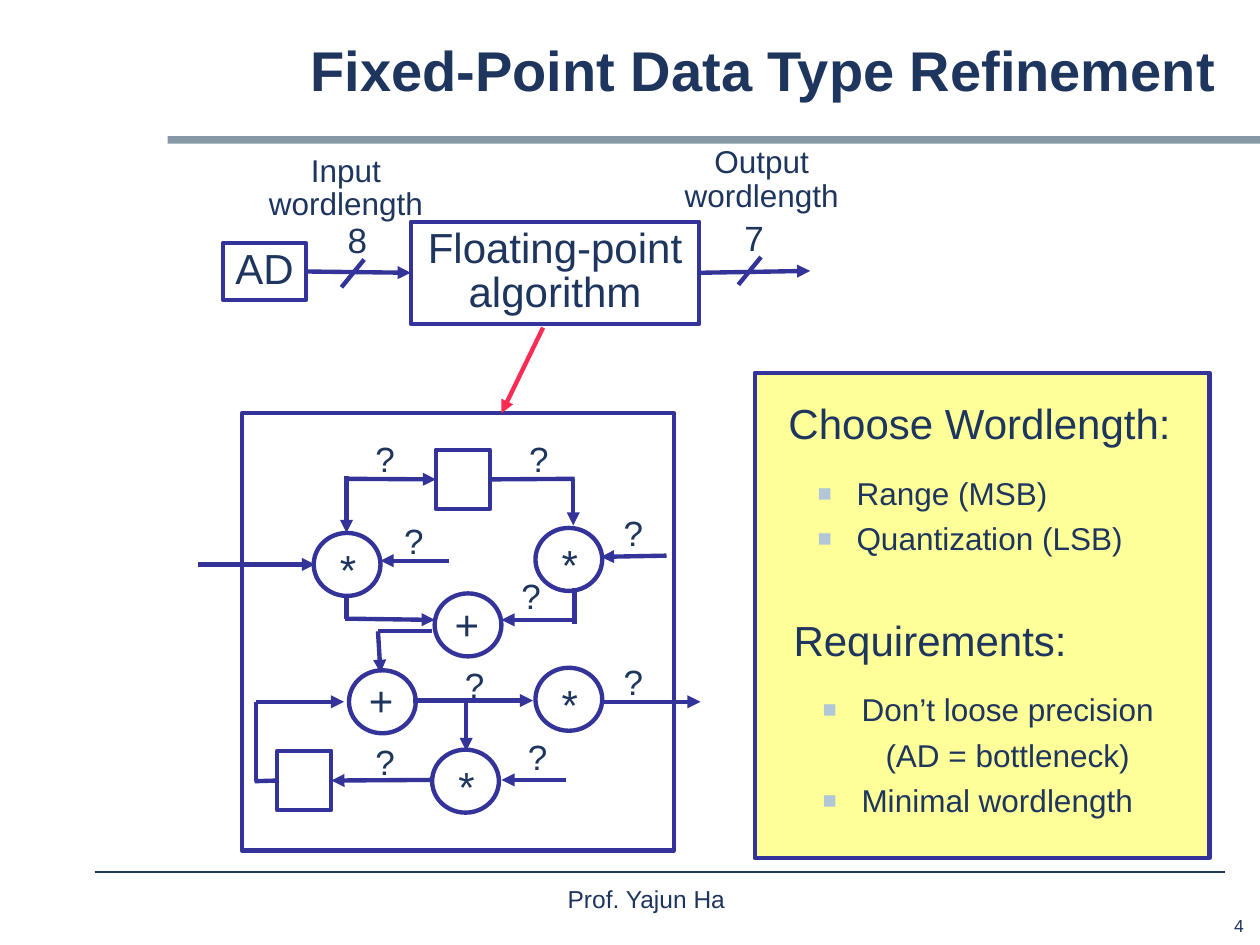
"""Build the slide on fixed-point data type refinement."""
from lxml import etree
from pptx import Presentation
from pptx import util as u
from pptx.dml import color
from pptx.enum import shapes, text
from pptx.oxml import ns

INK, BLUE, RED = "1E355E", "333399", "FA2C53"
LEFT, MID, RIGHT = text.PP_ALIGN.LEFT, text.PP_ALIGN.CENTER, text.PP_ALIGN.RIGHT
RECT, OVAL = shapes.MSO_SHAPE.RECTANGLE, shapes.MSO_SHAPE.OVAL


def tint(fill, code):
    """Give a fill one solid colour."""
    fill.solid()
    fill.fore_color.rgb = color.RGBColor.from_string(code)


def child(node, tag, **attrs):
    """Add a drawing element with its attributes."""
    return etree.SubElement(node, ns.qn("a:" + tag), **attrs)


def style(para, size, align=LEFT, bold=False, tight=0.88):
    """Format a paragraph and its runs."""
    para.alignment = align
    para.line_spacing = tight
    for run in para.runs:
        run.font.name = "Arial"
        run.font.size = u.Pt(size)
        run.font.bold = bold
        tint(run.font.fill, INK)


def label(slide, words, x, y, w, h, size, wrap=False, **look):
    """Add a one-paragraph text box."""
    frame = slide.shapes.add_textbox(*map(u.Inches, (x, y, w, h))).text_frame
    frame.word_wrap = wrap
    frame.text = words
    style(frame.paragraphs[0], size, **look)
    return frame


def block(slide, x, y, w, h, kind=RECT, fill=None, line=BLUE):
    """Add a plain shape with an outline, a fill or both."""
    shape = slide.shapes.add_shape(kind, *map(u.Inches, (x, y, w, h)))
    shape.shadow.inherit = False
    if fill:
        tint(shape.fill, fill)
    else:
        shape.fill.background()
    if line:
        tint(shape.line.fill, line)
        shape.line.width = u.Pt(2.5)
    else:
        shape.line.fill.background()
    return shape


def unit(slide, words, *place, wrap=True):
    """Add a box that holds its own name."""
    shape = block(slide, *place)
    frame = shape.text_frame
    frame.word_wrap = wrap
    frame.vertical_anchor = text.MSO_ANCHOR.TOP
    frame.text = words
    style(frame.paragraphs[0], 24, MID)
    return shape


def node(slide, sign, x, y):
    """Add a round operator with its sign."""
    block(slide, x, y, 0.53, 0.5, OVAL)
    dx, dy = (0.11, 0.09) if sign == "*" else (0.06, 0.04)
    label(slide, sign, x + dx, y + dy, 0.33, 0.45, 24, wrap=True)


def wire(slide, start, end, head=True, code=BLUE, width=2.5):
    """Draw a line between points or (shape, side) pairs."""
    joins = [isinstance(stop[0], (int, float)) for stop in (start, end)]
    spots = [stop if plain else (0, 0) for stop, plain in zip((start, end), joins)]
    line = slide.shapes.add_connector(
        shapes.MSO_CONNECTOR.STRAIGHT, *(u.Inches(n) for spot in spots for n in spot))
    if not joins[0]:
        line.begin_connect(*start)
    if not joins[1]:
        line.end_connect(*end)
    tint(line.line.fill, code)
    line.line.width = u.Pt(width)
    if head:
        child(line.line._get_or_add_ln(), "tailEnd", type="triangle")
    child(line._element.spPr, "effectLst")


def points(slide, x, y, w, h, items):
    """Add a list of (words, has bullet) items."""
    frame = slide.shapes.add_textbox(*map(u.Inches, (x, y, w, h))).text_frame
    frame.word_wrap = True
    for i, (words, mark) in enumerate(items):
        para = frame.add_paragraph() if i else frame.paragraphs[0]
        para.text = words
        props = para._p.get_or_add_pPr()
        props.set("marL", str(u.Inches(0.81 if mark else 1.25)))
        props.set("indent", str(u.Inches(-0.31 if mark else -0.25)))
        if mark:
            child(child(props, "buClr"), "srgbClr", val="B1C6D7")
            child(props, "buSzPct", val="75000")
            child(props, "buFont", typeface="Arial")
            child(props, "buChar", char="■")
        else:
            child(props, "buNone")
        style(para, 18)
        if i:
            para.space_before = u.Pt(6.8)


def base(slide):
    """Add the title, rules and footer."""
    block(slide, 1.33, 1.08, 8.67, 0.06, fill="8499A5", line=None)
    wire(slide, (0.75, 6.92), (9.72, 6.92), False, INK, 0.75)
    label(slide, "4", 9.32, 7.21, 0.65, 0.26, 10, wrap=True, align=RIGHT, tight=1.0)
    label(slide, "Prof. Yajun Ha", 3.42, 6.97, 3.42, 0.42, 14, wrap=True,
          align=MID, tight=1.0)
    title = label(slide, "Fixed-Point Data Type Refinement", 1.33, 0.17, 8.42, 0.83,
                  32, wrap=True, align=RIGHT, bold=True)
    title.vertical_anchor = text.MSO_ANCHOR.MIDDLE


def chain(slide):
    """Draw the converter, the algorithm and their word lengths."""
    source = unit(slide, "AD", 1.77, 1.93, 0.66, 0.45, wrap=False)
    core = unit(slide, "Floating-point algorithm", 3.26, 1.76, 2.29, 0.81)
    wire(slide, (source, 3), (core, 1))
    wire(slide, (core, 3), (6.43, 2.15))
    for name, bits, x, y, tick, top in (("Input", "8", 1.82, 1.19, 2.71, 2.06),
                                        ("Output", "7", 5.12, 1.12, 5.86, 2.04)):
        label(slide, name + " wordlength", x, y, 1.85, 0.63, 18, wrap=True, align=MID)
        label(slide, bits, tick - 0.05, top - 0.33, 0.35, 0.4, 20)
        wire(slide, (tick + 0.18, top), (tick, top + 0.22), False)


def graph(slide):
    """Draw the data flow inside the algorithm."""
    upper = block(slide, 3.46, 3.57, 0.43, 0.47)
    lower = block(slide, 2.2, 5.96, 0.43, 0.47)
    for sign, x, y in (("*", 2.49, 4.23), ("+", 3.45, 4.71), ("*", 4.25, 4.19),
                       ("*", 3.43, 5.95), ("*", 4.25, 5.3), ("+", 2.77, 5.32)):
        node(slide, sign, x, y)
    block(slide, 1.92, 3.28, 3.43, 3.47)
    for start, end in (((1.57, 4.48), (2.5, 4.48)), ((2.75, 3.8), (upper, 1)),
                       ((2.75, 3.78), (2.75, 4.23)), ((3.56, 4.45), (3.02, 4.45)),
                       ((3.43, 6.19), (lower, 3)), ((4.49, 6.19), (3.98, 6.19)),
                       ((4.78, 5.57), (5.56, 5.57)), ((3.28, 5.56), (4.23, 5.56)),
                       ((3.7, 5.57), (3.7, 5.96)), ((2.03, 5.57), (2.73, 5.57)),
                       ((3, 5.01), (3.02, 5.34)), ((2.74, 4.91), (3.45, 4.92)),
                       ((4.56, 4.92), (3.98, 4.92)), ((5.29, 4.41), (4.77, 4.42)),
                       ((4.55, 3.8), (4.55, 4.17))):
        wire(slide, start, end)
    for start, end in (((2.03, 5.57), (2.03, 6.2)), ((2.02, 6.2), (lower, 1)),
                       ((3, 5.01), (3.43, 5.01)), ((2.75, 4.73), (2.75, 4.91)),
                       ((4.56, 4.95), (4.56, 4.67)), ((upper, 3), (4.56, 3.8))):
        wire(slide, start, end, False)
    for x, y in ((2.88, 3.47), (4.1, 3.47), (3.11, 4.12), (4.85, 4.05), (4.04, 4.55),
                 (3.59, 5.26), (4.85, 5.24), (2.88, 5.87), (4.09, 5.83)):
        label(slide, "?", x, y, 0.35, 0.4, 20)
    wire(slide, (4.31, 2.6), (3.98, 3.28), code=RED)


def panel(slide):
    """Add the yellow panel with its two lists."""
    block(slide, 5.99, 2.96, 3.61, 3.85, fill="FFFF99")
    label(slide, "Choose Wordlength:", 6.16, 3.16, 3.24, 0.45, 24)
    points(slide, 5.89, 3.75, 3.47, 0.81,
           [("Range (MSB)", True), ("Quantization (LSB)", True)])
    label(slide, "Requirements:", 6.2, 4.88, 2.37, 0.45, 24)
    points(slide, 5.93, 5.47, 3.47, 1.1,
           [("Don’t loose precision", True), ("(AD = bottleneck)", False),
            ("Minimal wordlength", True)])


def main():
    """Build and save the slide."""
    deck = Presentation()
    deck.slide_width, deck.slide_height = u.Inches(10), u.Inches(7.5)
    slide = deck.slides.add_slide(deck.slide_layouts[6])
    for part in (base, panel, chain, graph):
        part(slide)
    deck.save("out.pptx")


if __name__ == "__main__":
    main()
